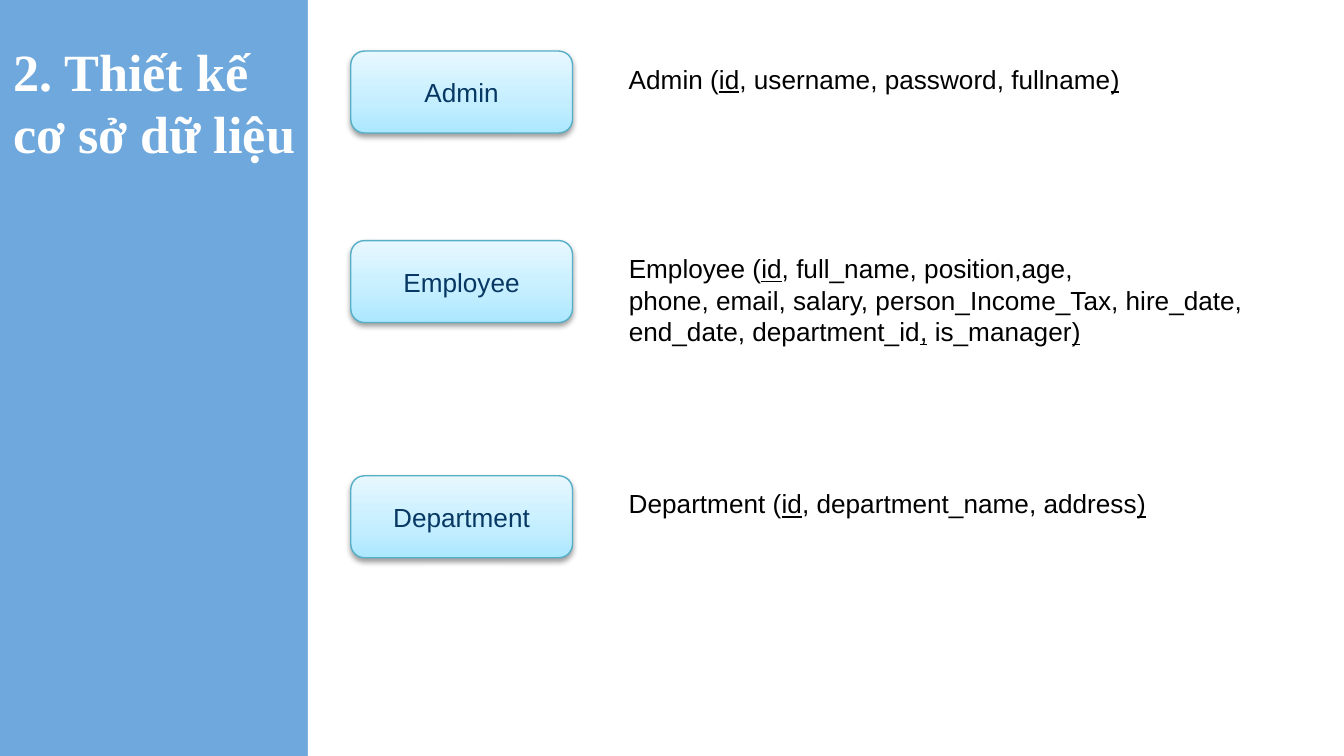
from dataclasses import dataclass

from pptx import Presentation
from pptx import util as u
from pptx.dml.color import RGBColor
from pptx.enum import shapes, text
from pptx.oxml import parse_xml
from pptx.oxml.ns import nsdecls, qn

WIDE = 10
HIGH = WIDE * 9 / 16
SIDE = 2.29  # width of the blue strip

HUES = {
    "side": "6FA8DC", "white": "FFFFFF", "black": "000000",
    "navy": "073763", "edge": "55AFC7",
    "deep": "ABE7FF", "mid": "C3EEFF", "pale": "E8F8FF",
}
STOPS = [(0, "deep"), (35, "mid"), (100, "pale")]


@dataclass
class Entity:
    name: str
    top: float
    wide: float
    high: float
    fields: str  # parts between bars are underlined


ROWS = [
    Entity("Admin", 0.38, 3.87, 0.57,
           "Admin (|id|, username, password, fullname|)|"),
    Entity("Employee", 1.79, 4.88, 1.04,
           "Employee (|id|, full_name, position,age,\n"
           "phone, email, salary, person_Income_Tax, hire_date,\n"
           "end_date, department_id|,| is_manager|)|"),
    Entity("Department", 3.54, 4.06, 0.57,
           "Department (|id|, department_name, address|)|"),
]


def hue(key: str) -> RGBColor:
    return RGBColor.from_string(HUES[key])


def write(frame, words: str, *, size: float = 14, font: str = "Arial",
          color: str = "black", bold: bool = False, wrap: bool = True,
          align=text.PP_ALIGN.LEFT, anchor=text.MSO_ANCHOR.TOP) -> None:
    frame.word_wrap = wrap
    frame.vertical_anchor = anchor
    for n, line in enumerate(words.split("\n")):
        para = frame.add_paragraph() if n else frame.paragraphs[0]
        para.alignment = align
        for k, part in enumerate(line.split("|")):
            if not part:
                continue
            run = para.add_run()
            run.text = part
            run.font.size = u.Pt(size)
            run.font.name = font
            run.font.bold = bold
            run.font.underline = k % 2 == 1
            run.font.color.rgb = hue(color)


def add_box(slide, left: float, top: float, wide: float, high: float):
    return slide.shapes.add_textbox(
        u.Inches(left), u.Inches(top), u.Inches(wide), u.Inches(high))


def add_shape(slide, kind, left: float, top: float, wide: float, high: float):
    shape = slide.shapes.add_shape(
        kind, u.Inches(left), u.Inches(top), u.Inches(wide), u.Inches(high))
    shape.shadow.inherit = False
    return shape


def add_glow(shape) -> None:
    """Give the shape an upward gradient and a soft shadow below."""
    props = shape.element.spPr
    stops = "".join(
        f'<a:gs pos="{pos * 1000}"><a:srgbClr val="{HUES[key]}"/></a:gs>'
        for pos, key in STOPS)
    grad = parse_xml(
        f'<a:gradFill {nsdecls("a")}><a:gsLst>{stops}</a:gsLst>'
        '<a:lin ang="16200000" scaled="0"/></a:gradFill>')
    props.find(qn("a:prstGeom")).addnext(grad)
    shade = parse_xml(
        f'<a:outerShdw {nsdecls("a")} blurRad="{u.Pt(3.1)}" '
        f'dist="{u.Pt(1.6)}" dir="5400000" rotWithShape="0">'
        f'<a:srgbClr val="{HUES["black"]}"><a:alpha val="38000"/></a:srgbClr>'
        '</a:outerShdw>')
    props.find(qn("a:effectLst")).append(shade)


def add_row(slide, row: Entity) -> None:
    card = add_shape(slide, shapes.MSO_SHAPE.ROUNDED_RECTANGLE,
                     2.61, row.top, 1.65, 0.61)
    card.line.color.rgb = hue("edge")
    card.line.width = u.Pt(0.75)
    add_glow(card)
    write(card.text_frame, row.name, color="navy",
          align=text.PP_ALIGN.CENTER, anchor=text.MSO_ANCHOR.MIDDLE)
    note = add_box(slide, 4.58, row.top + 0.04, row.wide, row.high)
    write(note.text_frame, row.fields, wrap=False)


def main() -> None:
    deck = Presentation()
    deck.slide_width, deck.slide_height = u.Inches(WIDE), u.Inches(HIGH)
    slide = deck.slides.add_slide(deck.slide_layouts[6])

    # Blue background with a white panel on the right
    slide.background.fill.solid()
    slide.background.fill.fore_color.rgb = hue("side")
    panel = add_shape(slide, shapes.MSO_SHAPE.RECTANGLE,
                      SIDE, 0, WIDE - SIDE, HIGH)
    panel.fill.solid()
    panel.fill.fore_color.rgb = hue("white")
    panel.line.fill.background()

    # Title
    title = add_box(slide, 0, 0.19, 2.3, 0.94).text_frame
    title.margin_left = title.margin_right = u.Inches(0.1)
    title.margin_top = title.margin_bottom = u.Inches(0.1)
    write(title, "2. Thiết kế cơ sở dữ liệu", size=28,
          font="Times New Roman", color="white", bold=True)

    # Entities and their fields
    for row in ROWS:
        add_row(slide, row)

    deck.save("out.pptx")


if __name__ == "__main__":
    main()
